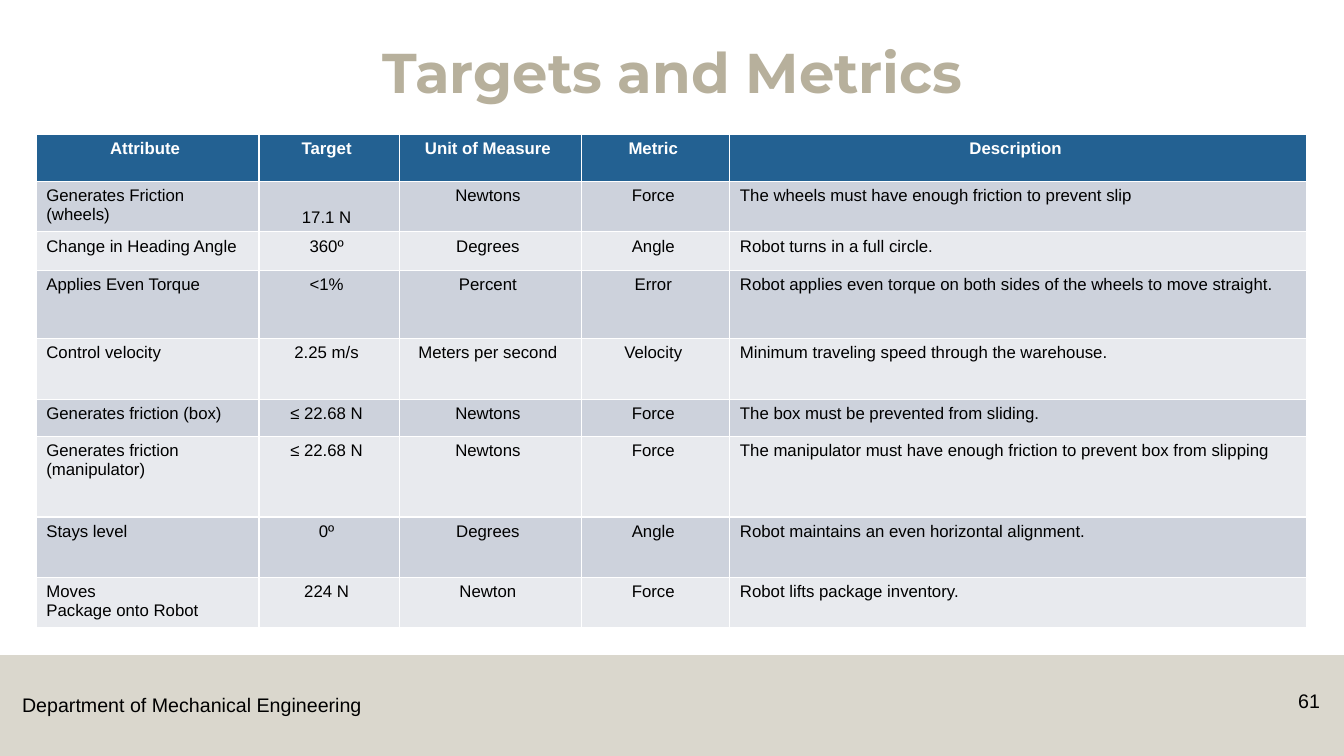
from lxml import etree
from pptx import Presentation
from pptx.dml.color import RGBColor
from pptx.enum.shapes import MSO_SHAPE
from pptx.enum.text import MSO_ANCHOR, PP_ALIGN
from pptx.oxml.ns import qn
from pptx.util import Inches, Pt

SLIDE_WIDTH, SLIDE_HEIGHT = 13.33, 7.5
SAND, NAVY, BLACK, WHITE = "B7B09C", "236192", "000000", "FFFFFF"
ROW_BANDS = ("CDD2DC", "E8EAEE")

COLUMN_WIDTHS = (2.21, 1.39, 1.81, 1.47, 5.72)
ROW_HEIGHTS = (0.47, 0.49, 0.38, 0.68, 0.6, 0.37, 0.8, 0.6, 0.46)
METRICS = (
    ("Attribute", "Target", "Unit of Measure", "Metric", "Description"),
    ("Generates Friction (wheels)", "17.1 N", "Newtons", "Force",
     "The wheels must have enough friction to prevent slip"),
    ("Change in Heading Angle", "360º", "Degrees", "Angle",
     "Robot turns in a full circle."),
    ("Applies Even Torque", "<1%", "Percent", "Error",
     "Robot applies even torque on both sides of the wheels to move straight."),
    ("Control velocity", "2.25 m/s", "Meters per second", "Velocity",
     "Minimum traveling speed through the warehouse."),
    ("Generates friction (box)", "≤ 22.68 N", "Newtons", "Force",
     "The box must be prevented from sliding."),
    ("Generates friction (manipulator)", "≤ 22.68 N", "Newtons", "Force",
     "The manipulator must have enough friction to prevent box from slipping"),
    ("Stays level", "0º", "Degrees", "Angle",
     "Robot maintains an even horizontal alignment."),
    ("Moves\vPackage onto Robot", "224 N", "Newton", "Force",
     "Robot lifts package inventory."),
)


def paint(color_format, hex_color):
    color_format.rgb = RGBColor.from_string(hex_color)


def fill_solid(part, hex_color):
    part.fill.solid()
    paint(part.fill.fore_color, hex_color)


def write(frame, text, align, color=BLACK, **font_values):
    frame.text = text
    for paragraph in frame.paragraphs:
        paragraph.alignment = align
        values = {"name": "Arial", "size": Pt(12), "bold": False, **font_values}
        for run in paragraph.runs:
            for key, value in values.items():
                setattr(run.font, key, value)
            paint(run.font.color, color)


def add_title(slide, left, top, width, height):
    title = slide.shapes.title
    place = {"left": left, "top": top, "width": width, "height": height}
    for key, value in place.items():
        setattr(title, key, Inches(value))
    frame = title.text_frame
    frame.vertical_anchor = MSO_ANCHOR.TOP
    write(frame, "Targets and Metrics", PP_ALIGN.CENTER, SAND,
          name="Montserrat", size=Pt(40), bold=True)
    frame.paragraphs[0].line_spacing = 0.9


def add_footer(slide, left, top, width, height):
    # Half-transparent band
    band = slide.shapes.add_shape(MSO_SHAPE.RECTANGLE, Inches(left), Inches(top),
                                  Inches(width), Inches(height))
    band.shadow.inherit = False
    fill_solid(band, SAND)
    band.line.fill.background()
    band_color = band._element.spPr.find(qn("a:solidFill"))[0]
    etree.SubElement(band_color, qn("a:alpha"), val="50000")

    # Department on the left, page number on the right
    labels = (
        ("Department of Mechanical Engineering", left + 0.12, 0.33, 3.59, 0.34,
         PP_ALIGN.LEFT, False),
        ("61", left + width - 0.91, 0.29, 0.77, 0.4, PP_ALIGN.RIGHT, True),
    )
    for text, x, offset, label_width, label_height, align, wrap in labels:
        label = slide.shapes.add_textbox(Inches(x), Inches(top + offset),
                                         Inches(label_width), Inches(label_height))
        label.text_frame.word_wrap = wrap
        write(label.text_frame, text, align, size=Pt(14))


def add_metrics_table(slide, left, top):
    metrics = slide.shapes.add_table(
        len(METRICS), len(COLUMN_WIDTHS), Inches(left), Inches(top),
        Inches(sum(COLUMN_WIDTHS)), Inches(sum(ROW_HEIGHTS))).table
    for column, width in zip(metrics.columns, COLUMN_WIDTHS):
        column.width = Inches(width)

    for r, (entries, height) in enumerate(zip(METRICS, ROW_HEIGHTS)):
        metrics.rows[r].height = Inches(height)
        header = r == 0
        for c, text in enumerate(entries):
            cell = metrics.cell(r, c)
            centered = header or 0 < c < len(entries) - 1
            fill_solid(cell, NAVY if header else ROW_BANDS[(r - 1) % 2])
            write(cell.text_frame, text,
                  PP_ALIGN.CENTER if centered else PP_ALIGN.LEFT,
                  WHITE if header else BLACK, bold=header)
            if centered:
                cell.margin_right = Inches(0.15)

    # The friction target sits on the second line of its row
    metrics.cell(1, 1).vertical_anchor = MSO_ANCHOR.BOTTOM


def main():
    presentation = Presentation()
    presentation.slide_width = Inches(SLIDE_WIDTH)
    presentation.slide_height = Inches(SLIDE_HEIGHT)
    slide = presentation.slides.add_slide(presentation.slide_layouts[5])
    add_footer(slide, 0, SLIDE_HEIGHT - 1, SLIDE_WIDTH, 1)
    add_metrics_table(slide, 0.36, 1.33)
    add_title(slide, 0.92, 0.4, 11.5, 1.45)
    presentation.save("out.pptx")


if __name__ == "__main__":
    main()
